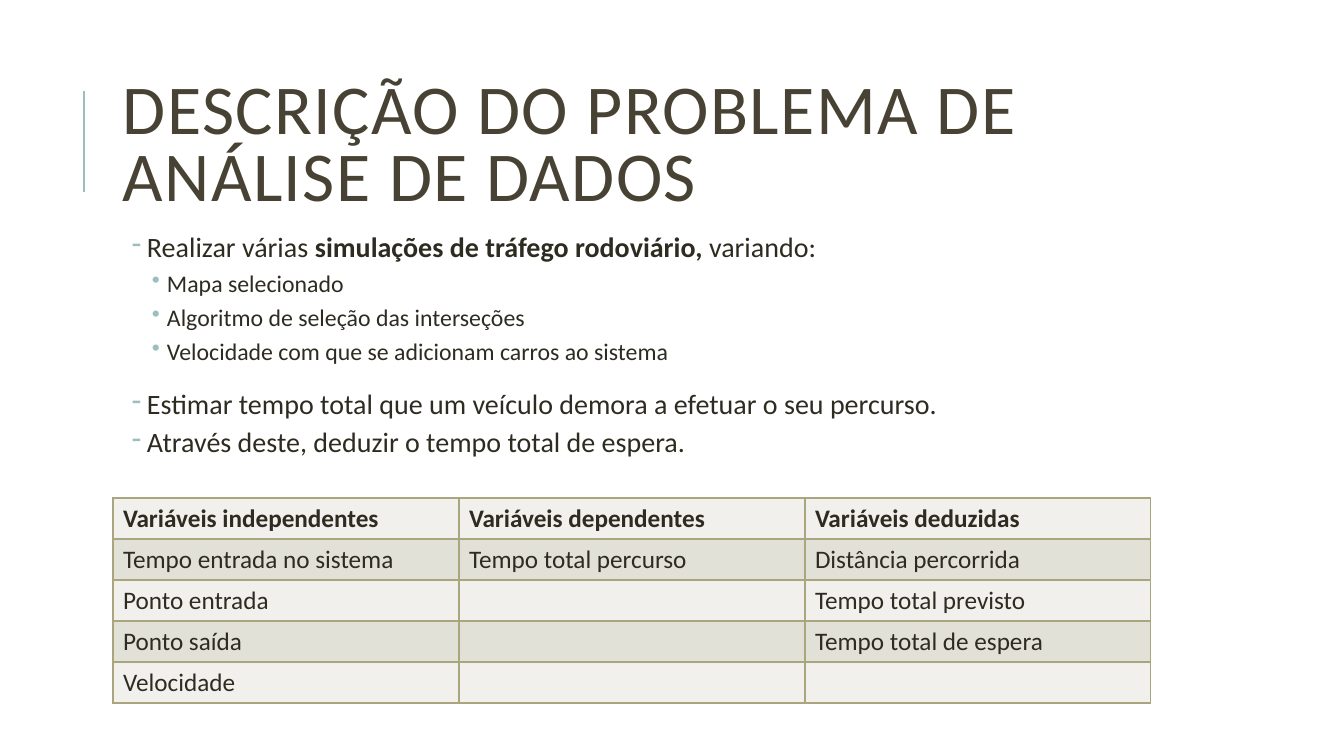
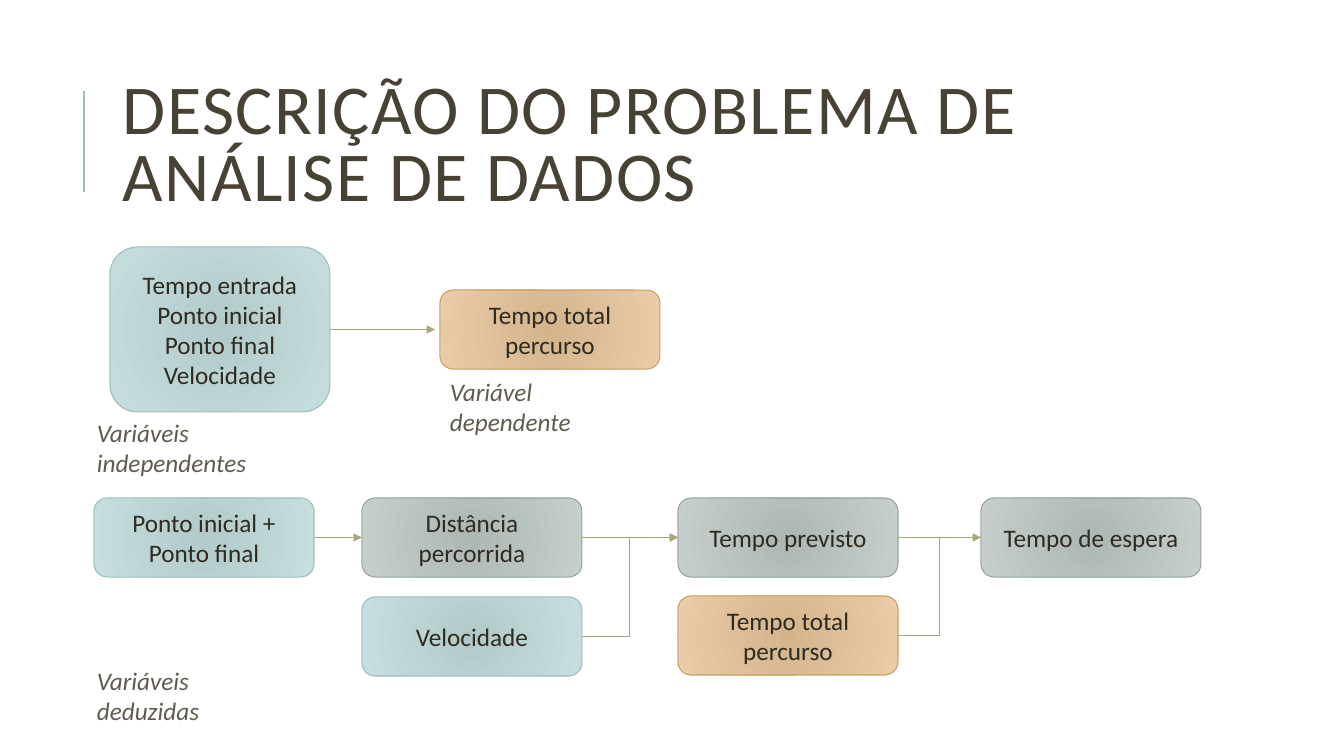
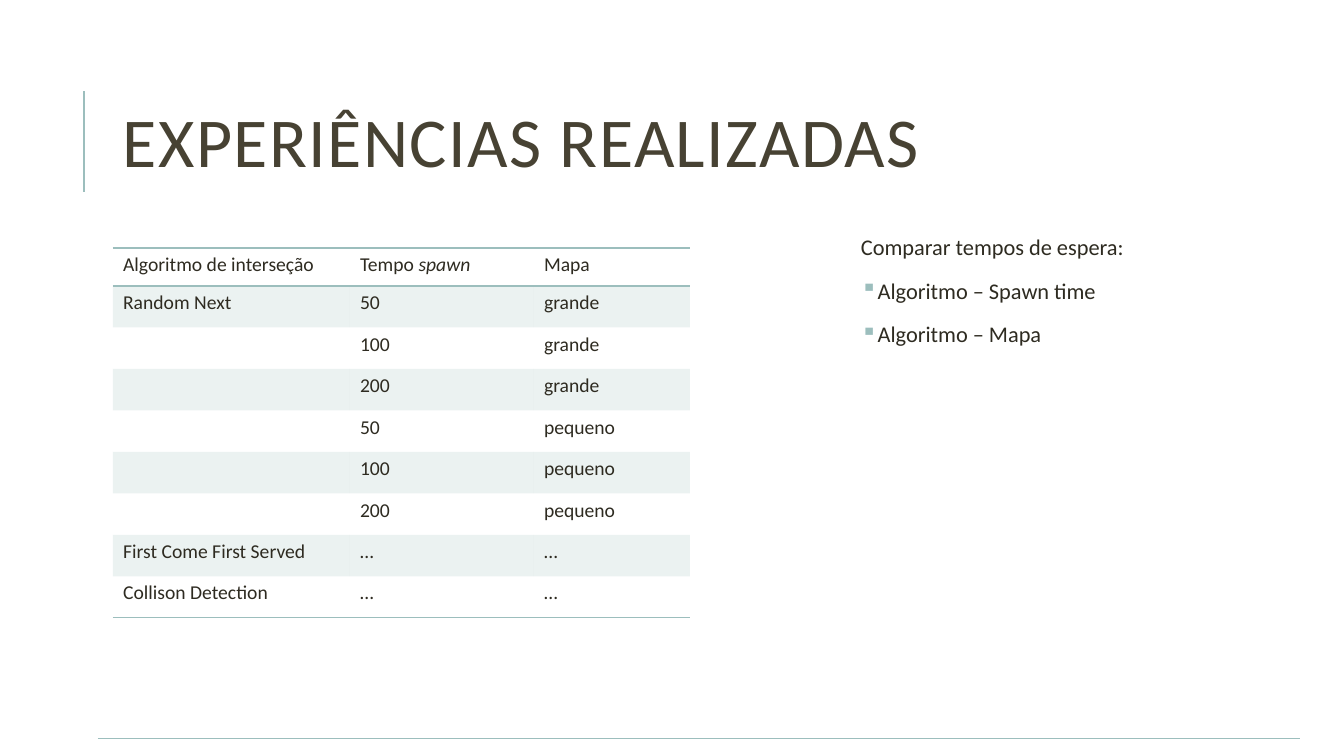
from lxml import etree
from pptx import Presentation
from pptx import util as u
from pptx.dml.color import RGBColor
from pptx.enum import shapes, text
from pptx.oxml.ns import qn

SCALE = 914400 / 100.8
FONT = "Calibri"
INK = RGBColor(0x2E, 0x2B, 0x21)
TITLE_INK = RGBColor(0x47, 0x42, 0x33)
CAPTION_INK = RGBColor(0x60, 0x5B, 0x4F)
TEAL = RGBColor(0x9C, 0xBE, 0xBD)
OLIVE = RGBColor(0xA9, 0xA5, 0x7C)
LIGHT_BAND = RGBColor(0xF1, 0xF0, 0xEC)
DARK_BAND = RGBColor(0xE2, 0xE1, 0xD7)

INDEPENDENT = (RGBColor(0xB2, 0xCB, 0xCA), RGBColor(0xC6, 0xDE, 0xDE), TEAL)
DEPENDENT = (RGBColor(0xD3, 0xB4, 0x8C), RGBColor(0xEA, 0xCC, 0xA9), RGBColor(0xC8, 0x9F, 0x5D))
DEDUCED = (RGBColor(0xAD, 0xB7, 0xB3), RGBColor(0xC6, 0xCF, 0xCB), RGBColor(0x95, 0xA3, 0x9D))

TOP, LEFT, BOTTOM, RIGHT = range(4)


def px(length):
    return u.Emu(round(length * SCALE))


def child(parent, tag, **attributes):
    return etree.SubElement(parent, qn(tag), {key: str(value) for key, value in attributes.items()})


def write(paragraph, content, size=18, color=INK, bold=False, italic=False, align=None,
          line=None, before=None, after=None, tracking=None, bullet=None, indent=0, hang=0):
    paragraph.alignment = align
    paragraph.line_spacing = line
    if before is not None:
        paragraph.space_before = u.Pt(before)
    if after is not None:
        paragraph.space_after = u.Pt(after)
    if bullet:
        properties = paragraph._p.get_or_add_pPr()
        properties.set("marL", str(px(indent)))
        properties.set("indent", str(-px(hang)))
        child(child(properties, "a:buClr"), "a:srgbClr", val=TEAL)
        child(properties, "a:buChar", char=bullet)
    for part in [content] if isinstance(content, str) else content:
        words, emphasis = (part, "") if isinstance(part, str) else part
        run = paragraph.add_run()
        run.text = words
        run.font.name = FONT
        run.font.size = u.Pt(size)
        run.font.color.rgb = color
        run.font.bold = bold or emphasis == "b"
        run.font.italic = italic or emphasis == "i"
        if tracking:
            run._r.get_or_add_rPr().set("spc", str(tracking))


class Deck:
    def __init__(self):
        self.presentation = Presentation()
        self.presentation.slide_width = px(1344)
        self.presentation.slide_height = px(756)
        self.slide = None

    def new_slide(self, title):
        self.slide = self.presentation.slides.add_slide(self.presentation.slide_layouts[6])
        self.line((84, 192), (84, 91), TEAL, 1.5)
        frame = self.text_frame(113, 65, 1114, 165)
        frame.vertical_anchor = text.MSO_ANCHOR.MIDDLE
        write(frame.paragraphs[0], title, size=50, color=TITLE_INK, line=0.8, tracking=100)

    def text_frame(self, left, top, width, height, margin=None):
        frame = self.slide.shapes.add_textbox(px(left), px(top), px(width), px(height)).text_frame
        frame.word_wrap = True
        if margin is not None:
            frame.margin_left = frame.margin_right = px(margin)
            frame.margin_top = frame.margin_bottom = px(margin)
        return frame

    def body(self, left, top, width, height, lines):
        frame = self.text_frame(left, top, width, height, margin=5)
        self.fill_frame(frame, lines)

    def fill_frame(self, frame, lines):
        for index, (content, style) in enumerate(lines):
            paragraph = frame.add_paragraph() if index else frame.paragraphs[0]
            write(paragraph, content, **style)

    def caption(self, left, top, width, words):
        frame = self.text_frame(left, top, width, 40)
        write(frame.paragraphs[0], words, color=CAPTION_INK, italic=True)

    def box(self, left, top, palette, *lines, height=79):
        inner, outer, edge = palette
        box = self.slide.shapes.add_shape(
            shapes.MSO_SHAPE.ROUNDED_RECTANGLE, px(left), px(top), px(220), px(height))
        box.shadow.inherit = False
        box.fill.gradient()
        for stop, color, position in zip(box.fill.gradient_stops, (inner, outer), (0, 1)):
            stop.color.rgb = color
            stop.position = position
        gradient = box._element.spPr.find(qn("a:gradFill"))
        gradient.remove(gradient.find(qn("a:lin")))
        child(child(gradient, "a:path", path="circle"), "a:fillToRect",
              l=100000, t=100000, r=100000, b=100000)
        box.line.color.rgb = edge
        box.line.width = u.Pt(0.75)
        box.text_frame.word_wrap = True
        centred = dict(align=text.PP_ALIGN.CENTER)
        self.fill_frame(box.text_frame, [(words, centred) for words in lines])
        return box

    def line(self, start, end, color, width=0.75, arrow=False, kind=shapes.MSO_CONNECTOR.STRAIGHT):
        line = self.slide.shapes.add_connector(kind, *map(px, start + end))
        line.line.color.rgb = color
        line.line.width = u.Pt(width)
        properties = line._element.spPr
        if arrow:
            child(properties.find(qn("a:ln")), "a:tailEnd", type="triangle")
        child(properties, "a:effectLst")
        return line

    def link(self, source, target, arrow=True, kind=shapes.MSO_CONNECTOR.STRAIGHT):
        link = self.line((0, 0), (0, 0), OLIVE, arrow=arrow, kind=kind)
        link.begin_connect(source, RIGHT)
        link.end_connect(target, LEFT)

    def table(self, left, top, widths, height, head_height, rows, size, fill, edges, bold_head=False):
        table = self.slide.shapes.add_table(
            len(rows), len(widths), px(left), px(top), px(sum(widths)), px(height)).table
        table.first_row = table.horz_banding = False
        for column, width in zip(table.columns, widths):
            column.width = px(width)
        for index, row in enumerate(rows):
            table.rows[index].height = px(
                (height - head_height) / (len(rows) - 1) if index else head_height)
            for column, content in enumerate(row):
                cell = table.cell(index, column)
                if content:
                    write(cell.text_frame.paragraphs[0], content, size=size,
                          bold=bold_head and index == 0)
                self.borders(cell, *edges(index))
                self.cell_fill(cell, *fill(index))

    def borders(self, cell, sides, color):
        properties = cell._tc.get_or_add_tcPr()
        for side in "LRTB":
            border = child(properties, "a:ln" + side, w=u.Pt(1))
            if side in sides:
                child(child(border, "a:solidFill"), "a:srgbClr", val=color)
            else:
                child(border, "a:noFill")

    def cell_fill(self, cell, color, opacity=100):
        if color is None:
            cell.fill.background()
            return
        cell.fill.solid()
        cell.fill.fore_color.rgb = color
        if opacity < 100:
            tint = cell._tc.tcPr.find(qn("a:solidFill")).find(qn("a:srgbClr"))
            child(tint, "a:alpha", val=opacity * 1000)


def problem_slide(deck):
    deck.new_slide("DESCRIÇÃO DO PROBLEMA DE ANÁLISE DE DADOS")
    spacing = dict(line=0.9, before=2, after=4, hang=15)
    goal = dict(spacing, size=20, bullet="-", indent=29)
    factor = dict(spacing, size=17, bullet="•", indent=49)
    deck.body(113, 228, 1072, 250, [
        (["Realizar várias ", ("simulações de tráfego rodoviário, ", "b"), "variando:"], goal),
        ("Mapa selecionado", factor),
        ("Algoritmo de seleção das interseções", factor),
        ("Velocidade com que se adicionam carros ao sistema", factor),
        ("Estimar tempo total que um veículo demora a efetuar o seu percurso.",
         dict(goal, before=13.5)),
        ("Através deste, deduzir o tempo total de espera.", goal),
    ])
    variables = [
        ("Variáveis independentes", "Variáveis dependentes", "Variáveis deduzidas"),
        ("Tempo entrada no sistema", "Tempo total percurso", "Distância percorrida"),
        ("Ponto entrada", "", "Tempo total previsto"),
        ("Ponto saída", "", "Tempo total de espera"),
        ("Velocidade", "", ""),
    ]
    deck.table(113, 498, [346] * 3, 205, 41, variables, 18,
               fill=lambda row: (DARK_BAND if row % 2 else LIGHT_BAND,),
               edges=lambda row: ("LRTB", OLIVE), bold_head=True)


def variables_slide(deck):
    deck.new_slide("DESCRIÇÃO DO PROBLEMA DE ANÁLISE DE DADOS")
    inputs = deck.box(110, 247, INDEPENDENT, "Tempo entrada", "Ponto inicial", "Ponto final",
                      "Velocidade", height=165)
    deck.box(440, 290, DEPENDENT, "Tempo total percurso")
    to_total = deck.line((330, 329), (435, 329), OLIVE, arrow=True)
    to_total.begin_connect(inputs, RIGHT)
    to_total.end_y = to_total.begin_y

    endpoints = deck.box(94, 498, INDEPENDENT, "Ponto inicial + Ponto final")
    distance = deck.box(362, 498, DEDUCED, "Distância percorrida")
    expected = deck.box(678, 498, DEDUCED, "Tempo previsto")
    waiting = deck.box(981, 498, DEDUCED, "Tempo de espera")
    speed = deck.box(362, 597, INDEPENDENT, "Velocidade")
    total = deck.box(678, 596, DEPENDENT, "Tempo total percurso")
    deck.link(endpoints, distance)
    deck.link(distance, expected)
    deck.link(expected, waiting, arrow=False)
    for source, target in ((speed, expected), (total, waiting)):
        deck.link(source, target, kind=shapes.MSO_CONNECTOR.ELBOW)

    deck.caption(87, 412, 255, "Variáveis independentes")
    deck.caption(440, 371, 222, "Variável dependente")
    deck.caption(87, 660, 217, "Variáveis deduzidas")


def experiments_slide(deck):
    deck.new_slide("EXPERIÊNCIAS REALIZADAS")
    deck.line((98, 739), (1300, 739), TEAL)
    runs = [(spawn, size) for size in ("grande", "pequeno") for spawn in ("50", "100", "200")]
    experiments = [
        ("Algoritmo de interseção", ["Tempo ", ("spawn", "i")], "Mapa"),
        *[("" if index else "Random Next", *run) for index, run in enumerate(runs)],
        ("First Come First Served", "…", "…"),
        ("Collison Detection", "…", "…"),
    ]
    ruled = {0: "TB", 1: "T", len(experiments) - 1: "B"}
    deck.table(113, 248, [237, 184, 156], 370, 38, experiments, 14,
               fill=lambda row: (TEAL, 20) if row % 2 else (None,),
               edges=lambda row: (ruled.get(row, ""), TEAL))
    plain = dict(size=16, align=text.PP_ALIGN.JUSTIFY, line=0.9, before=12, after=2)
    item = dict(plain, bullet="▪", indent=10, hang=10)
    deck.body(856, 231, 385, 444, [
        ("Comparar tempos de espera:", plain),
        ("Algoritmo – Spawn time", item),
        ("Algoritmo – Mapa", item),
    ])


def main():
    deck = Deck()
    problem_slide(deck)
    variables_slide(deck)
    experiments_slide(deck)
    deck.presentation.save("out.pptx")


if __name__ == "__main__":
    main()
